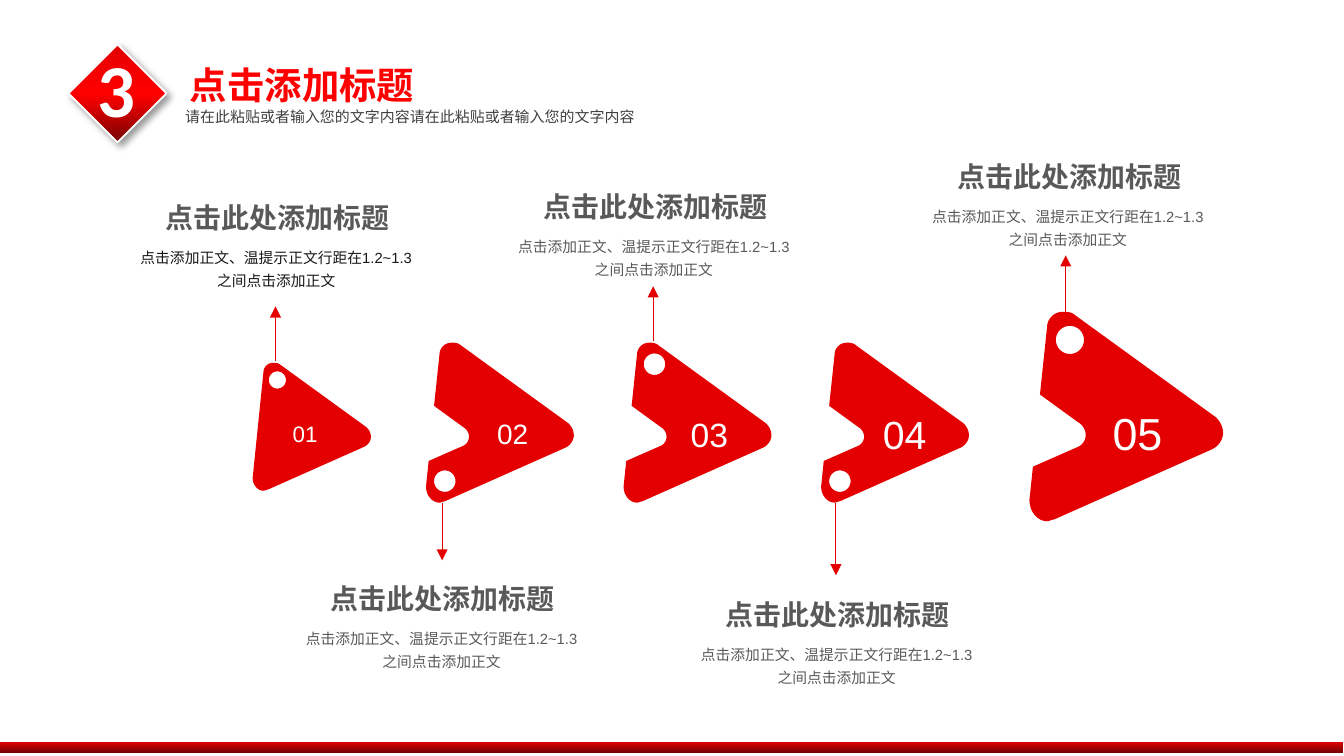
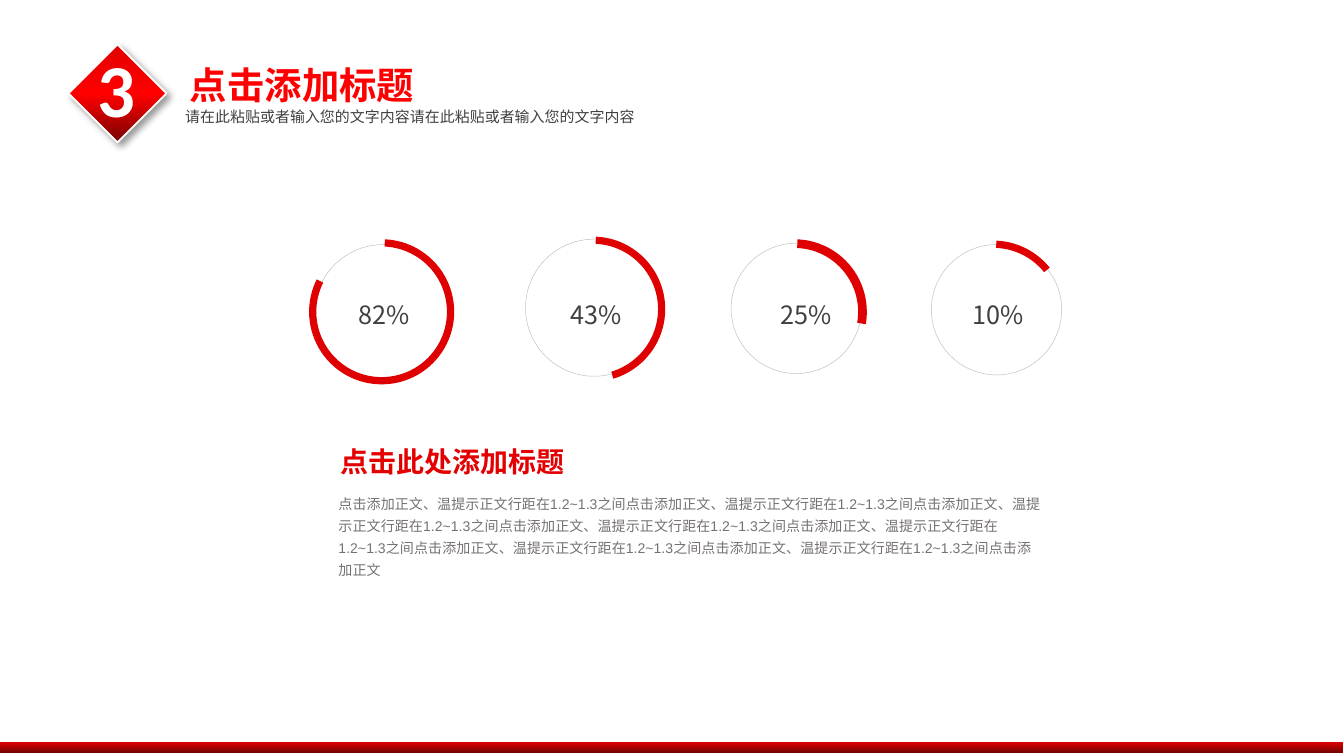
import dataclasses
import math

import lxml.etree
import pptx
import pptx.dml.color
import pptx.enum.shapes
import pptx.enum.text
import pptx.oxml.ns
import pptx.presentation
import pptx.shapes.autoshape
import pptx.slide
import pptx.util

Inches = pptx.util.Inches
RGBColor = pptx.dml.color.RGBColor
Slide = pptx.slide.Slide
Shape = pptx.shapes.autoshape.Shape
Kind = pptx.enum.shapes.MSO_SHAPE
Align = pptx.enum.text.PP_ALIGN
qn = pptx.oxml.ns.qn
Point = tuple[float, float]

RED = RGBColor(0xE4, 0x00, 0x00)
BRIGHT = RGBColor(0xFF, 0x00, 0x00)
TOP = RGBColor(0xE3, 0x00, 0x00)
DARK = RGBColor(0x76, 0x03, 0x03)
ARC = RGBColor(0xDF, 0x01, 0x01)
WHITE = RGBColor(0xFF, 0xFF, 0xFF)
BLACK = RGBColor(0x00, 0x00, 0x00)
INK = RGBColor(0x18, 0x17, 0x17)
GREY = RGBColor(0x59, 0x59, 0x59)
SLATE = RGBColor(0x40, 0x40, 0x40)
ASH = RGBColor(0x76, 0x71, 0x71)
PALE = RGBColor(0xBF, 0xBF, 0xBF)

SANS = "Noto Sans CJK SC"
HEAD = "点击此处添加标题"
HINT = "、温提示正文行距在1.2~1.3之间点击添加正文"
BODY = "点击添加正文" + HINT

NOTCH = [
    [(0.02, 0.88)],
    [(0.27, 0.77)],
    [(0.3, 0.76), (0.32, 0.73), (0.32, 0.7)],
    [(0.32, 0.67), (0.3, 0.64), (0.28, 0.63)],
    [(0.06, 0.47)],
]
START = (0.19, 0.0)
FRONT = [
    [(0.21, 0), (0.24, 0), (0.26, 0.02)],
    [(1.06, 0.6)],
    [(1.08, 0.62), (1.1, 0.65), (1.1, 0.69)],
    [(1.1, 0.72), (1.08, 0.76), (1.04, 0.78)],
    [(0.14, 1.18)],
    [(0.13, 1.18), (0.11, 1.19), (0.1, 1.19)],
    [(0.05, 1.19), (0, 1.14), (0, 1.07)],
]
BACK = [[(0.1, 0.09)], [(0.1, 0.04), (0.14, 0), START]]


@dataclasses.dataclass(frozen=True)
class Style:
    size: float
    color: RGBColor
    font: str = "Arial"
    bold: bool = False
    align: Align = Align.LEFT
    lead: float | None = None
    wrap: bool = True


@dataclasses.dataclass(frozen=True)
class Step:
    label: str
    left: float
    top: float
    scale: float
    hole: Point
    line: tuple[float, float, float]
    mark: tuple[float, float, float, float]
    size: float
    head: Point
    tone: RGBColor = GREY
    notch: bool = True


@dataclasses.dataclass(frozen=True)
class Ring:
    label: str
    left: float
    top: float
    size: float
    text: Point
    arc: Point
    end: float
    thick: float


HIGH = (0.23, 0.16)
LOW = (0.14, 1.03)
STEPS = [
    Step("01", 1.88, 2.7, 0.8, HIGH, (2.05, 2.69, 2.28),
         (2.08, 3.08, 0.4, 0.3), 12, (0.89, 1.44), INK, False),
    Step("02", 3.17, 2.55, 1, LOW, (3.29, 3.74, 4.17),
         (3.6, 3.05, 0.43, 0.35), 15, (2.12, 4.28)),
    Step("03", 4.64, 2.55, 1, HIGH, (4.86, 2.54, 2.13),
         (5.04, 3.03, 0.48, 0.4), 18, (3.7, 1.36)),
    Step("04", 6.11, 2.55, 1, LOW, (6.22, 3.74, 4.28),
         (6.47, 3, 0.53, 0.45), 21, (5.06, 4.4)),
    Step("05", 7.66, 2.32, 1.31, HIGH, (7.93, 2.32, 1.9),
         (8.18, 2.97, 0.57, 0.5), 24, (6.78, 1.14)),
]
RINGS = [
    Ring("82%", 2.34, 1.82, 1.02, (2.33, 1.05), (2.3, 1.78), 141.91, 0.05),
    Ring("43%", 3.91, 1.78, 1.02, (4.04, 0.79), (3.87, 1.76), 62.08, 0.05),
    Ring("25%", 5.44, 1.81, 0.97, (5.6, 0.79), (5.37, 1.78), 23.91, 0.06),
    Ring("10%", 6.93, 1.82, 0.97, (7.03, 0.79), (6.85, 1.79), 210.72, 0.05),
]


def write(box: Shape, words: str, style: Style) -> None:
    frame = box.text_frame
    frame.word_wrap = style.wrap
    frame.auto_size = pptx.enum.text.MSO_AUTO_SIZE.SHAPE_TO_FIT_TEXT
    frame.vertical_anchor = pptx.enum.text.MSO_ANCHOR.TOP
    para = frame.paragraphs[0]
    para.alignment = style.align
    if style.lead:
        para.line_spacing = style.lead
    run = para.add_run()
    run.text = words
    font = run.font
    font.size = pptx.util.Pt(style.size)
    font.bold = style.bold
    font.name = style.font
    font.color.rgb = style.color
    props = run._r.get_or_add_rPr()
    lxml.etree.SubElement(props, qn("a:ea"), typeface=style.font)


def text(slide: Slide, left: float, top: float, width: float,
         height: float, words: str, style: Style) -> None:
    box = slide.shapes.add_textbox(
        Inches(left), Inches(top), Inches(width), Inches(height))
    write(box, words, style)


def shape(slide: Slide, kind: Kind, left: float, top: float,
          width: float, height: float) -> Shape:
    form = slide.shapes.add_shape(
        kind, Inches(left), Inches(top), Inches(width), Inches(height))
    form.shadow.inherit = False
    form.line.fill.background()
    return form


def paint(form: Shape, color: RGBColor) -> None:
    form.fill.solid()
    form.fill.fore_color.rgb = color


def fade(form: Shape, stops: list[tuple[int, RGBColor]]) -> None:
    form.fill.gradient()
    form.fill.gradient_angle = 270
    group = form._element.spPr.find(".//" + qn("a:gsLst"))
    for old in list(group):
        group.remove(old)
    for place, color in stops:
        stop = lxml.etree.SubElement(group, qn("a:gs"), pos=str(place * 1000))
        lxml.etree.SubElement(stop, qn("a:srgbClr"), val=str(color))


def shade(form: Shape) -> None:
    effects = form._element.spPr.find(qn("a:effectLst"))
    cast = lxml.etree.SubElement(
        effects, qn("a:outerShdw"), blurRad=str(pptx.util.Pt(4)),
        dist=str(pptx.util.Pt(3)), dir=str(45 * 60000),
        algn="tl", rotWithShape="0")
    color = lxml.etree.SubElement(cast, qn("a:srgbClr"), val=str(BLACK))
    lxml.etree.SubElement(color, qn("a:alpha"), val="40000")


def trace(parts: list[list[Point]]) -> list[Point]:
    points = [START]
    for part in parts:
        if len(part) == 1:
            points += part
            continue
        curve = [points[-1], *part]
        for step in range(1, 9):
            t = step / 8
            rates = [math.comb(3, i) * t**i * (1 - t)**(3 - i)
                     for i in range(4)]
            points.append((sum(r * p[0] for r, p in zip(rates, curve)),
                           sum(r * p[1] for r, p in zip(rates, curve))))
    return points


def circle(center: Point, radius: float) -> list[Point]:
    turns = [math.tau * i / 32 for i in range(32)]
    return [(center[0] + radius * math.cos(t),
             center[1] + radius * math.sin(t)) for t in turns]


def arrow(slide: Slide, step: Step) -> None:
    def place(points: list[Point]) -> list[tuple[int, int]]:
        return [(Inches(step.left + x * step.scale),
                 Inches(step.top + y * step.scale)) for x, y in points]

    rim = place(trace(FRONT + (NOTCH if step.notch else []) + BACK))
    hole = place(circle(step.hole, 0.08))
    pen = slide.shapes.build_freeform(*rim[0])
    pen.add_line_segments(rim[1:], close=True)
    pen.move_to(*hole[0])
    pen.add_line_segments(hole[1:], close=True)
    form = pen.convert_to_shape()
    form.shadow.inherit = False
    form.line.fill.background()
    paint(form, RED)


def pointer(slide: Slide, x: float, start: float, end: float) -> None:
    line = slide.shapes.add_connector(
        pptx.enum.shapes.MSO_CONNECTOR.STRAIGHT,
        Inches(x), Inches(start), Inches(x), Inches(end))
    line.line.color.rgb = RED
    line.line.width = pptx.util.Pt(0.5)
    props = line._element.spPr
    lxml.etree.SubElement(props.find(qn("a:ln")), qn("a:tailEnd"),
                          type="triangle")
    lxml.etree.SubElement(props, qn("a:effectLst"))


def draw_step(slide: Slide, step: Step) -> None:
    arrow(slide, step)
    pointer(slide, *step.line)
    text(slide, *step.mark, step.label, Style(step.size, WHITE, wrap=False))
    left, top = step.head
    text(slide, left, top, 2.35, 0.35, HEAD,
         Style(15, GREY, bold=True, align=Align.CENTER))
    text(slide, left + 0.02, top + 0.32, 2.29, 0.44, BODY,
         Style(7.9, step.tone, align=Align.CENTER, lead=1.3))


def draw_ring(slide: Slide, ring: Ring) -> None:
    track = shape(slide, Kind.OVAL, ring.left, ring.top, ring.size, ring.size)
    track.fill.background()
    track.line.color.rgb = PALE
    track.line.width = pptx.util.Pt(0.25)
    left, width = ring.text
    text(slide, left, 2.18, width, 0.33, ring.label,
         Style(13.5, SLATE, SANS, align=Align.CENTER))
    arc = shape(slide, Kind.BLOCK_ARC, *ring.arc, 1.08, 1.08)
    arc.rotation = 330
    for i, value in enumerate((181.54, ring.end, ring.thick)):
        arc.adjustments[i] = value
    paint(arc, ARC)


def add_page(deck: pptx.presentation.Presentation) -> Slide:
    slide = deck.slides.add_slide(deck.slide_layouts[5])
    title = slide.shapes.title
    title.left, title.top = Inches(1.27), Inches(0.41)
    title.width, title.height = Inches(2.02), Inches(0.43)
    write(title, "点击添加标题 ",
          Style(20, BRIGHT, SANS, True, Align.CENTER, wrap=False))
    badge = shape(slide, Kind.DIAMOND, 0.51, 0.33, 0.73, 0.73)
    fade(badge, [(0, TOP), (51, BRIGHT), (100, DARK)])
    badge.line.color.rgb = WHITE
    badge.line.width = pptx.util.Pt(1)
    shade(badge)
    text(slide, 0.63, 0.27, 0.31, 0.77, "3", Style(40, WHITE, "Calibri", True))
    text(slide, 1.28, 0.75, 4.83, 0.37, "请在此粘贴或者输入您的文字内容" * 2,
         Style(8, SLATE, SANS))
    band = shape(slide, Kind.RECTANGLE, 0, 5.52, 9.99, 0.08)
    fade(band, [(0, TOP), (100, DARK)])
    return slide


def main() -> None:
    deck = pptx.Presentation()
    deck.slide_width = Inches(10)
    deck.slide_height = Inches(10 * 9 / 16)
    flow = add_page(deck)
    for step in STEPS:
        draw_step(flow, step)
    rates = add_page(deck)
    for ring in RINGS:
        draw_ring(rates, ring)
    text(rates, 2.42, 3.6, 5.44, 0.59, "点击添加正文" + HINT * 7,
         Style(7.5, ASH, lead=1.3))
    text(rates, 2.02, 3.26, 2.28, 0.35, HEAD,
         Style(15, RED, bold=True, align=Align.RIGHT))
    deck.save("out.pptx")


if __name__ == "__main__":
    main()
